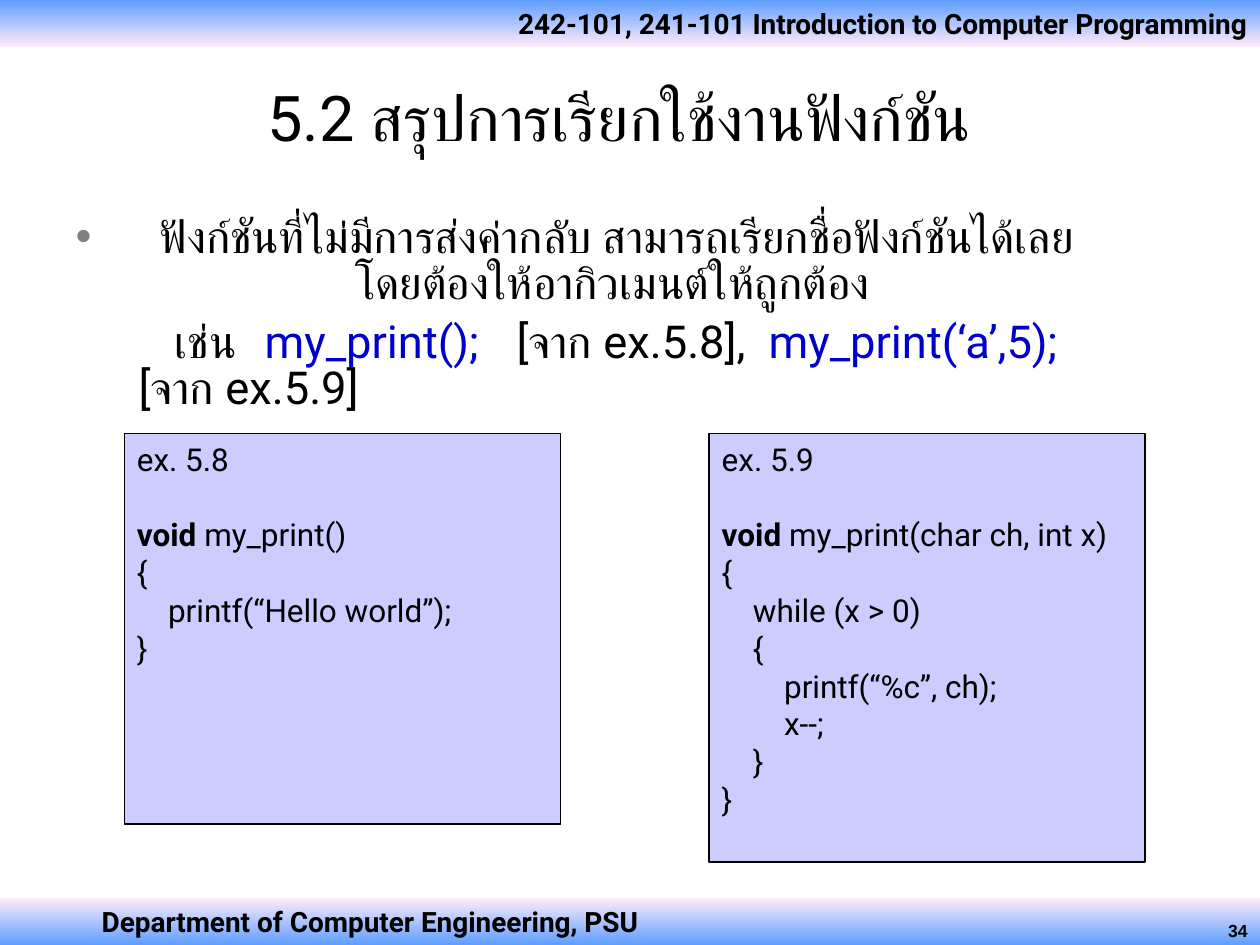
from dataclasses import dataclass

from lxml.etree import SubElement
from pptx import Presentation
from pptx.dml.color import RGBColor as Rgb
from pptx.enum.shapes import MSO_SHAPE as Shape
from pptx.enum.text import MSO_ANCHOR as Anchor, MSO_AUTO_SIZE as AutoSize, PP_ALIGN as Align
from pptx.oxml.ns import qn
from pptx.util import Cm, Pt


@dataclass(frozen=True)
class Theme:
    ink: str = "000000"
    call: str = "0000CC"
    bullet: str = "808080"
    panel: str = "CCCCFF"
    sky: str = "5E9EFF"
    blush: str = "FFEBFA"
    font: str = "Roboto"
    number_font: str = "Arial"
    title: float = 36
    body: float = 25.9
    code: float = 18
    bar: float = 16
    number: float = 10


class LecturePage:
    """Holds the theme and the slide, and draws each kind of element."""

    def __init__(self, page, theme):
        self.page = page
        self.theme = theme

    def style(self, span, size, color=None, bold=False, font=None):
        span.font.name = font or self.theme.font
        span.font.size = Pt(size)
        span.font.bold = bold
        span.font.color.rgb = Rgb.from_string(color or self.theme.ink)

    def rectangle(self, left, top, width, height):
        box = self.page.shapes.add_shape(
            Shape.RECTANGLE, Cm(left), Cm(top), Cm(width), Cm(height))
        box.shadow.inherit = False
        box.text_frame.word_wrap = True
        box.text_frame.vertical_anchor = Anchor.TOP
        return box

    def indent(self, para, margin, first=0):
        props = para._p.get_or_add_pPr()
        props.set("marL", str(Cm(margin)))
        props.set("indent", str(Cm(first)))
        return props

    def bar(self, top, text, colors, align, margin=0):
        box = self.rectangle(0, top, 25.4, 0.94)
        box.line.fill.background()
        box.fill.gradient()
        box.fill.gradient_angle = 270
        for stop, color in zip(box.fill.gradient_stops, colors):
            stop.color.rgb = Rgb.from_string(color)
        box.text_frame.text = text
        para = box.text_frame.paragraphs[0]
        para.alignment = align
        self.indent(para, margin)
        self.style(para.runs[0], self.theme.bar, bold=True)

    def page_number(self, text):
        box = self.page.shapes.add_textbox(Cm(20.12), Cm(18.42), Cm(5.28), Cm(0.63))
        box.text_frame.word_wrap = True
        box.text_frame.text = text
        para = box.text_frame.paragraphs[0]
        para.alignment = Align.RIGHT
        self.style(para.runs[0], self.theme.number, bold=True, font=self.theme.number_font)

    def placeholder(self, box, top, height, anchor):
        box.left, box.top, box.width, box.height = Cm(1.27), Cm(top), Cm(22.43), Cm(height)
        frame = box.text_frame
        frame.word_wrap = True
        frame.auto_size = AutoSize.NONE
        frame.vertical_anchor = anchor
        return frame

    def title(self, text):
        frame = self.placeholder(self.page.shapes.title, 1.07, 2.54, Anchor.MIDDLE)
        frame.text = text
        para = frame.paragraphs[0]
        para.alignment = Align.CENTER
        self.style(para.runs[0], self.theme.title)

    def body(self, point, continuation, example, stops):
        frame = self.placeholder(self.page.placeholders[1], 4.24, 4.32, Anchor.TOP)
        frame.text = "\n".join((point, continuation))
        first, second = frame.paragraphs
        third = frame.add_paragraph()
        third.level = 1
        for text, color in example:
            for number, line in enumerate(text.split("\n")):
                if number:
                    third.add_line_break()
                span = third.add_run()
                span.text = line
                self.style(span, self.theme.body, color)
        for para, before in ((first, 0), (second, 0), (third, 7)):
            para.alignment = Align.LEFT
            para.line_spacing = 0.85
            para.space_before = Pt(before)
        props = self.indent(first, 1.7, -1.7)
        tint = SubElement(props, qn("a:buClr"))
        SubElement(tint, qn("a:srgbClr"), val=self.theme.bullet)
        SubElement(props, qn("a:buChar"), char="•")
        SubElement(self.indent(second, 5.64), qn("a:buNone"))
        props = self.indent(third, 0, 2)
        SubElement(props, qn("a:buNone"))
        tabs = SubElement(props, qn("a:tabLst"))
        for stop in stops:
            SubElement(tabs, qn("a:tab"), pos=str(Cm(stop)), algn="l")
        for para in (first, second):
            self.style(para.runs[0], self.theme.body)

    def code_panel(self, left, height, label, keyword, signature, lines):
        box = self.rectangle(left, 8.74, 8.79, height)
        box.fill.solid()
        box.fill.fore_color.rgb = Rgb.from_string(self.theme.panel)
        box.line.color.rgb = Rgb.from_string(self.theme.ink)
        box.line.width = Pt(1)
        frame = box.text_frame
        frame.text = "\n".join([label, keyword, *lines])
        heading = frame.paragraphs[1]
        heading.space_before = Pt(21.6)
        heading.add_run().text = signature
        for para in frame.paragraphs:
            para.alignment = Align.LEFT
            for span in para.runs:
                self.style(span, self.theme.code, bold=span.text == keyword)


def main():
    deck = Presentation()
    deck.slide_width, deck.slide_height = Cm(25.4), Cm(19.05)
    theme = Theme()
    lecture = LecturePage(deck.slides.add_slide(deck.slide_layouts[1]), theme)

    lecture.bar(0, "242-101, 241-101 Introduction to Computer Programming",
                (theme.sky, theme.blush), Align.RIGHT)
    lecture.bar(18.11, "Department of Computer Engineering, PSU",
                (theme.blush, theme.sky), Align.LEFT, margin=1.8)
    lecture.page_number("34")
    lecture.title("5.2 สรุปการเรียกใช้งานฟังก์ชัน")
    lecture.body(
        "ฟังก์ชันที่ไม่มีการส่งค่ากลับ สามารถเรียกชื่อฟังก์ชันได้เลย",
        "โดยต้องให้อากิวเมนต์ให้ถูกต้อง",
        [("เช่น\t", theme.ink), ("my_print();", theme.call),
         ("\t[จาก ex.5.8],\t", theme.ink), ("my_print(‘a’,5);", theme.call),
         ("\n\t[จาก ex.5.9]", theme.ink)],
        stops=(2.74, 3.71, 8.71, 14.25))

    panels = [
        (7.87, "ex. 5.8", " my_print()",
         ["{", "    printf(“Hello world”);", "}"]),
        (8.64, "ex. 5.9", " my_print(char ch, int x)",
         ["{", "    while (x > 0)", "    {", "        printf(“%c”, ch);",
          "        x--;", "    }", "}"]),
    ]
    for column, (height, label, signature, lines) in enumerate(panels):
        lecture.code_panel(2.51 + 11.79 * column, height, label, "void", signature, lines)

    deck.save("out.pptx")


if __name__ == "__main__":
    main()
